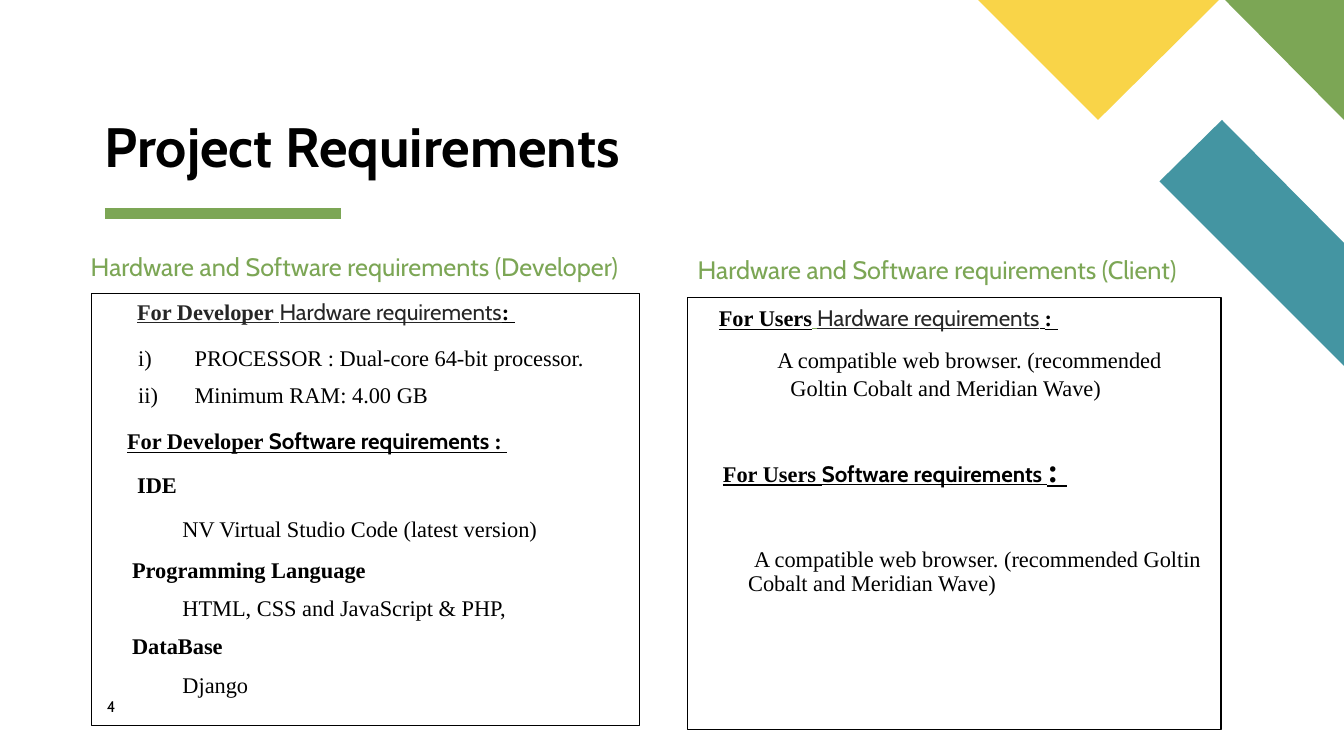
from dataclasses import dataclass

from lxml.etree import SubElement
from pptx import Presentation
from pptx.dml.color import RGBColor
from pptx.enum.shapes import MSO_CONNECTOR as Connector
from pptx.enum.text import MSO_ANCHOR as Anchor, MSO_AUTO_SIZE as AutoSize, PP_ALIGN as Align
from pptx.oxml.ns import qn
from pptx.util import Inches, Pt


@dataclass(frozen=True)
class Theme:
    black: str = "000000"
    dark: str = "262626"
    green: str = "7CA655"
    teal: str = "4495A2"
    yellow: str = "F9D448"
    sans: str = "Cabin"
    serif: str = "Times New Roman"
    title: float = 39.6
    header: float = 18
    body: float = 16
    colon: float = 24
    number: float = 11


THEME = Theme()


@dataclass
class Run:
    text: str
    font: str = THEME.serif
    size: float = THEME.body
    color: str = THEME.black
    bold: bool = False
    underline: bool = False


@dataclass
class Para:
    runs: list
    indent: float = 0
    first: float = 0
    line: float = 0.9
    before: float = 10
    after: float = 0
    numbered: bool = False


def rgb(color):
    return RGBColor.from_string(color)


def place(part, box):
    part.left, part.top, part.width, part.height = map(Inches, box)


def write(part, paras, insets=(0.1, 0.05), anchor=Anchor.TOP):
    frame = part.text_frame
    frame.word_wrap = True
    frame.auto_size = AutoSize.NONE
    frame.vertical_anchor = anchor
    frame.margin_left = frame.margin_right = Inches(insets[0])
    frame.margin_top = frame.margin_bottom = Inches(insets[1])
    for index, para in enumerate(paras):
        line = frame.add_paragraph() if index else frame.paragraphs[0]
        line.alignment = Align.LEFT
        line.line_spacing = para.line
        line.space_before, line.space_after = Pt(para.before), Pt(para.after)
        props = line._p.get_or_add_pPr()
        props.set("marL", str(Inches(para.indent)))
        props.set("indent", str(Inches(para.first)))
        if para.numbered:
            SubElement(props, qn("a:buFont"), typeface=THEME.serif)
            SubElement(props, qn("a:buAutoNum"), type="romanLcParenR")
        else:
            SubElement(props, qn("a:buNone"))
        for item in para.runs:
            run = line.add_run()
            run.text = item.text
            font = run.font
            font.name, font.size = item.font, Pt(item.size)
            font.bold, font.underline = item.bold, item.underline
            font.color.rgb = rgb(item.color)


def corner_polygon(slide, box, corners, color):
    left, top = box
    points = [(Inches(left + x), Inches(top + y)) for x, y in corners]
    builder = slide.shapes.build_freeform(*points[0])
    builder.add_line_segments(points[1:], close=True)
    polygon = builder.convert_to_shape()
    polygon.shadow.inherit = False
    polygon.fill.solid()
    polygon.fill.fore_color.rgb = rgb(color)
    polygon.line.fill.background()


def corner_decoration(slide):
    corner_polygon(slide, (11.5, 1.19),
                   [(1.83, 2.44), (1.83, 1.22), (0.62, 0), (0, 0.61)], THEME.teal)
    corner_polygon(slide, (12.15, 0), [(0, 0), (1.18, 0), (1.18, 1.19)], THEME.green)
    corner_polygon(slide, (9.7, 0), [(0, 0), (2.39, 0), (1.19, 1.19)], THEME.yellow)


def title_region(slide, box):
    left, top, width, height = box
    title = slide.shapes.title
    place(title, box)
    heading = Run("Project Requirements", THEME.sans, THEME.title, bold=True)
    write(title, [Para([heading], before=0)], (0, 0), Anchor.BOTTOM)
    # Accent rule below the title
    rule_y = Inches(top + height + 0.34)
    rule = slide.shapes.add_connector(
        Connector.STRAIGHT, Inches(left), rule_y, Inches(left + 2.34), rule_y)
    rule.line.color.rgb = rgb(THEME.green)
    rule.line.width = Pt(8)
    SubElement(rule._element.spPr, qn("a:effectLst"))


def requirements_column(slide, indices, header_box, panel_box, header_text, paras):
    header, panel = (slide.placeholders[index] for index in indices)
    place(header, header_box)
    write(header, [Para([Run(header_text, THEME.sans, THEME.header, THEME.green)], before=0)])
    place(panel, panel_box)
    panel.line.color.rgb = rgb(THEME.black)
    panel.line.width = Pt(0.75)
    write(panel, paras)


def hardware_heading(audience, color, gap):
    return [Run(audience, color=color, bold=True, underline=True),
            gap,
            Run("Hardware requirements", THEME.sans, color=THEME.dark, underline=True)]


def software_heading(audience, colon_size):
    return [Run(f"{audience} ", bold=True, underline=True),
            Run("Software requirements ", THEME.sans, bold=True, underline=True),
            Run(": ", size=colon_size, bold=True, underline=True)]


def developer_paras():
    gap = Run(" ", THEME.sans, THEME.header, THEME.dark, underline=True)
    hardware = hardware_heading("For Developer", THEME.dark, gap)
    hardware.append(Run(": ", bold=True, underline=True))
    paras = [
        Para(hardware, 0.35),
        Para([Run("PROCESSOR : Dual-core 64-bit processor.")],
             0.92, -0.56, 1.07, before=12, numbered=True),
        Para([Run("Minimum RAM: 4.00 GB")],
             0.92, -0.56, 1.07, before=6, after=6, numbered=True),
        Para(software_heading("For Developer", THEME.body), 0.25),
    ]
    # Label, label indent, label gap, value, value gap
    tools = [
        ("IDE", 0.35, 13.5, "NV Virtual Studio Code (latest version)", 14.5),
        ("Programming Language", 0.3, 12, "HTML, CSS and JavaScript & PHP,", 10),
        ("DataBase", 0.3, 10, "Django", 10),
    ]
    for label, indent, label_gap, value, value_gap in tools:
        paras.append(Para([Run(label, bold=True)], indent, before=label_gap))
        paras.append(Para([Run(value)], 0.8, before=value_gap))
    return paras


def client_paras():
    browser = "A compatible web browser. (recommended Goltin Cobalt and Meridian Wave)"
    gap = Run(" ", THEME.sans, color=THEME.green, underline=True)
    hardware = hardware_heading("For Users", THEME.black, gap)
    hardware += [Run(" ", THEME.sans, underline=True), Run(": ", bold=True, underline=True)]
    return [
        Para(hardware, 0.21, line=1.07, after=9.1),
        Para([Run(browser)], 0.92, -0.13, 1.07, before=0, after=9.1),
        Para(software_heading("For Users", THEME.colon), 0.25, before=28),
        Para([Run(browser)], 0.5, 0.06, before=42),
    ]


def page_number(slide, box):
    number = slide.shapes.add_textbox(*map(Inches, box))
    write(number, [Para([Run("4", THEME.sans, THEME.number)], line=1, before=0)], (0, 0))


def main():
    deck = Presentation()
    deck.slide_width, deck.slide_height = Inches(13.33), Inches(7.5)
    slide = deck.slides.add_slide(deck.slide_layouts.get_by_name("Comparison"))
    corner_decoration(slide)
    title_region(slide, (1.04, 1.31, 6.32, 0.47))
    requirements_column(slide, (1, 2), (0.8, 2.48, 5.98, 0.42), (0.91, 2.91, 5.43, 4.29),
                        "Hardware and Software requirements (Developer)", developer_paras())
    requirements_column(slide, (3, 4), (6.82, 2.51, 5.29, 0.44), (6.82, 2.95, 5.29, 4.29),
                        "Hardware and Software requirements (Client)", client_paras())
    page_number(slide, (1.06, 6.92, 0.57, 0.27))
    deck.save("out.pptx")


if __name__ == "__main__":
    main()
